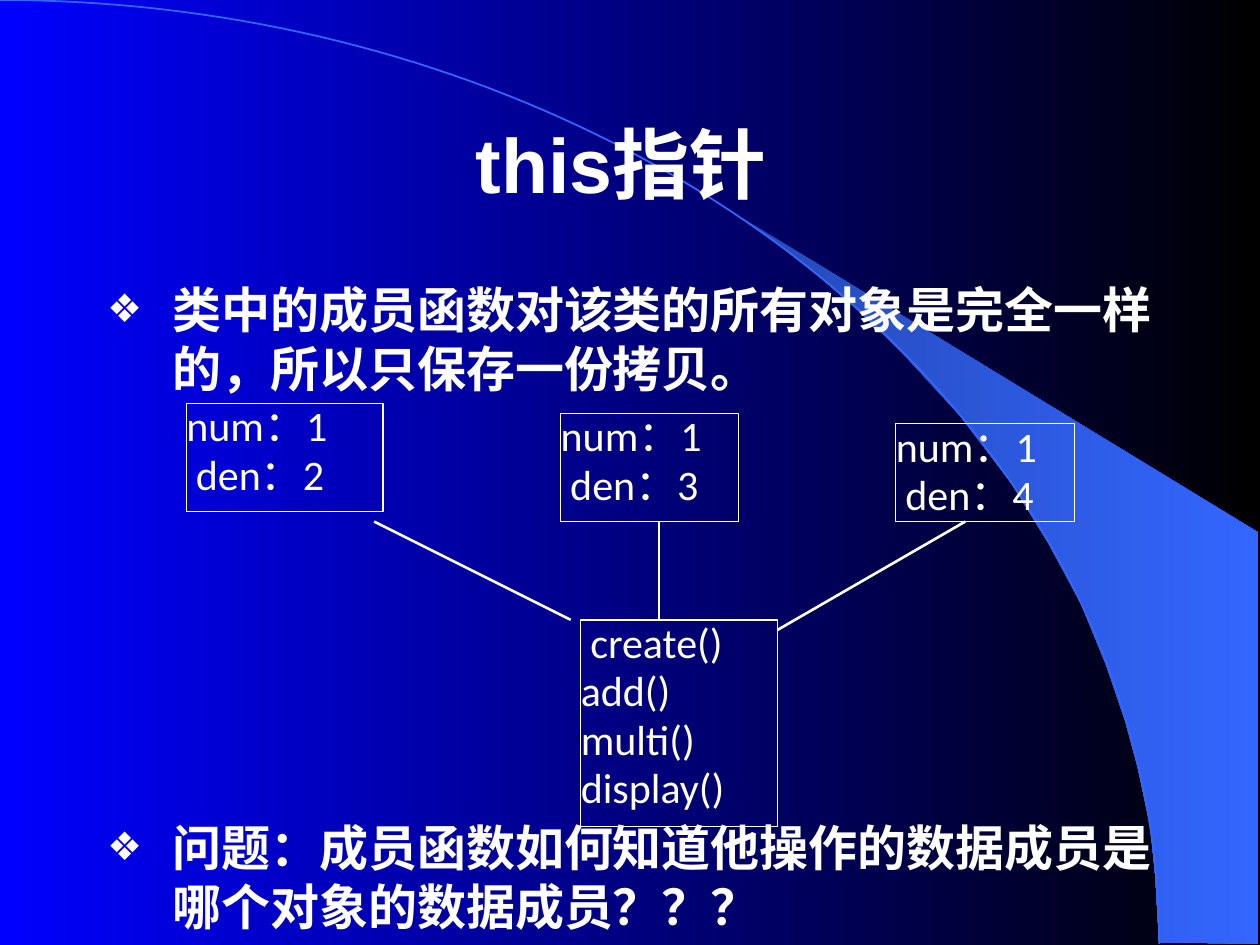
from math import cos, pi, sin

from lxml.etree import SubElement
from pptx import Presentation
from pptx.dml.color import RGBColor
from pptx.enum.shapes import MSO_CONNECTOR, MSO_SHAPE
from pptx.enum.text import MSO_ANCHOR, MSO_AUTO_SIZE, PP_ALIGN
from pptx.oxml.ns import qn
from pptx.util import Inches, Pt

WHITE = "FFFFFF"
ARC_BLUE = "3366FF"
ARC_WIDTH, ARC_HEIGHT = 9.2, 7.49
ARC_STEPS = 90
WEDGE = [
    (9.2, 7.48), (9.99, 7.49), (9.99, 4.23), (5.89, 1.73), (6.24, 1.99),
    (6.53, 2.22), (6.85, 2.5), (7.16, 2.8), (7.62, 3.3), (8.03, 3.84),
    (8.32, 4.31), (8.58, 4.79), (8.78, 5.28), (8.93, 5.72), (9.03, 6.09),
    (9.13, 6.56), (9.17, 6.96),
]
MEMBER_BOXES = [
    ((1.48, 3.2, 1.56, 0.86), ["num：1", " den：2"]),
    ((4.45, 3.28, 1.41, 0.86), ["num：1", " den：3"]),
    ((7.11, 3.36, 1.42, 0.78), ["num：1", " den：4"]),
    ((4.61, 4.92, 1.56, 1.64), [" create()", "add()", "multi()", "display()"]),
]
LINKS = [
    ((2.97, 4.14), (4.53, 4.92)),
    ((6.17, 5), (7.66, 4.14)),
    ((5.23, 4.14), (5.23, 4.92)),
]
POINTS = [
    ("类中的成员函数对该类的所有对象是完全一样的，所以只保存一份拷贝。", 0),
    ("问题：成员函数如何知道他操作的数据成员是哪个对象的数据成员？？？", 240),
]


def color(value):
    return RGBColor.from_string(value)


def write_text(paragraph, text, font, size, bold=False, align=PP_ALIGN.LEFT,
               line_spacing=1.0, space_before=0):
    paragraph.alignment = align
    paragraph.line_spacing = line_spacing
    paragraph.space_before = Pt(space_before)
    run = paragraph.add_run()
    run.text = text
    run.font.name = font
    run.font.size = Pt(size)
    run.font.bold = bold
    run.font.color.rgb = color(WHITE)


def paragraphs_for(frame, items):
    for index, item in enumerate(items):
        yield frame.paragraphs[0] if index == 0 else frame.add_paragraph(), item


def fill_gradient(fill, start, end):
    fill.gradient()
    fill.gradient_angle = 0
    for stop, value, position in zip(fill.gradient_stops, (start, end), (0, 1)):
        stop.color.rgb = color(value)
        stop.position = position


def place(shape, box):
    shape.left, shape.top, shape.width, shape.height = map(Inches, box)


def add_outline(slide, points, close):
    start, *rest = [(Inches(x), Inches(y)) for x, y in points]
    builder = slide.shapes.build_freeform(*start)
    builder.add_line_segments(rest, close=close)
    outline = builder.convert_to_shape()
    outline.shadow.inherit = False
    slide.shapes.title.element.addprevious(outline.element)
    return outline


def add_backdrop(slide):
    fill_gradient(slide.background.fill, "0000FF", "000000")
    wedge = add_outline(slide, WEDGE, close=True)
    fill_gradient(wedge.fill, "2449B6", ARC_BLUE)
    wedge.line.fill.background()

    angles = [pi / 2 * step / ARC_STEPS for step in range(ARC_STEPS + 1)]
    curve = [(ARC_WIDTH * sin(a), ARC_HEIGHT * (1 - cos(a))) for a in angles]
    arc = add_outline(slide, curve, close=False)
    arc.fill.background()
    arc.line.color.rgb = color(ARC_BLUE)
    arc.line.width = Pt(1)


def add_bullet(paragraph):
    properties = paragraph._p.get_or_add_pPr()
    properties.set("marL", str(Inches(0.52)))
    properties.set("indent", str(-Inches(0.52)))
    bullet_color = SubElement(properties, qn("a:buClr"))
    SubElement(bullet_color, qn("a:srgbClr"), val=WHITE)
    SubElement(properties, qn("a:buSzPct"), val="80000")
    SubElement(properties, qn("a:buChar"), char="❖")


def fill_title(title):
    place(title, (0.75, 0.67, 8.5, 1.25))
    frame = title.text_frame
    frame.auto_size = MSO_AUTO_SIZE.NONE
    frame.vertical_anchor = MSO_ANCHOR.MIDDLE
    write_text(frame.paragraphs[0], "this指针 ", font="Arial", size=44,
               bold=True, align=PP_ALIGN.CENTER)


def fill_points(body):
    place(body, (0.75, 2.17, 8.5, 4.5))
    frame = body.text_frame
    frame.auto_size = MSO_AUTO_SIZE.NONE
    frame.vertical_anchor = MSO_ANCHOR.TOP
    for paragraph, (text, gap) in paragraphs_for(frame, POINTS):
        write_text(paragraph, text, font="Times New Roman", size=28,
                   bold=True, space_before=gap)
        add_bullet(paragraph)


def add_member_box(slide, box, members):
    member_box = slide.shapes.add_shape(MSO_SHAPE.RECTANGLE, *map(Inches, box))
    member_box.shadow.inherit = False
    member_box.fill.background()
    member_box.line.color.rgb = color(WHITE)
    member_box.line.width = Pt(0.75)
    frame = member_box.text_frame
    frame.word_wrap = True
    frame.vertical_anchor = MSO_ANCHOR.TOP
    frame.margin_left = frame.margin_right = 0
    frame.margin_top = frame.margin_bottom = 0
    for paragraph, member in paragraphs_for(frame, members):
        write_text(paragraph, member, font="Calibri", size=24,
                   align=PP_ALIGN.JUSTIFY, line_spacing=0.96)


def add_link(slide, start, end):
    link = slide.shapes.add_connector(
        MSO_CONNECTOR.STRAIGHT, *map(Inches, start + end))
    link.line.color.rgb = color(WHITE)
    link.line.width = Pt(1.5)
    SubElement(link.element.spPr, qn("a:effectLst"))


def main():
    presentation = Presentation()
    presentation.slide_width = Inches(10)
    presentation.slide_height = Inches(7.5)
    slide = presentation.slides.add_slide(presentation.slide_layouts[1])
    add_backdrop(slide)
    fill_title(slide.shapes.title)
    fill_points(slide.placeholders[1])
    for box, members in MEMBER_BOXES:
        add_member_box(slide, box, members)
    for start, end in LINKS:
        add_link(slide, start, end)
    presentation.save("out.pptx")


if __name__ == "__main__":
    main()
